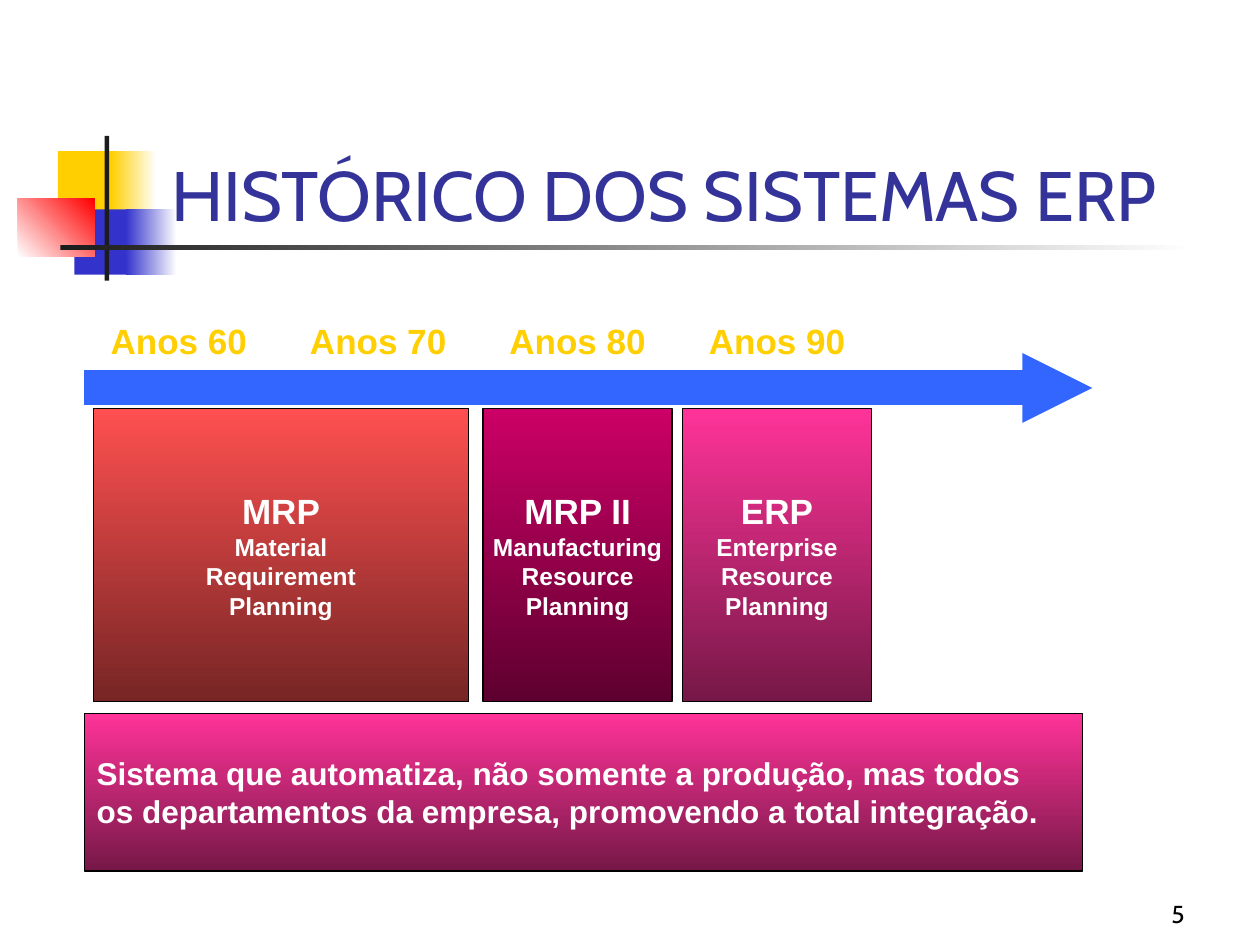
from dataclasses import dataclass
from typing import Optional

from lxml.etree import SubElement
from pptx import Presentation
from pptx.dml.color import RGBColor
from pptx.enum.shapes import MSO_CONNECTOR, MSO_SHAPE
from pptx.enum.text import MSO_ANCHOR, PP_ALIGN
from pptx.oxml.ns import qn
from pptx.util import Cm, Pt

YELLOW = RGBColor(0xFF, 0xCF, 0x01)
BLUE = RGBColor(0x33, 0x33, 0xCC)
RED = RGBColor(0xFF, 0x00, 0x00)
CHARCOAL = RGBColor(0x1C, 0x1C, 0x1C)
NAVY = RGBColor(0x33, 0x33, 0x99)
ARROW_BLUE = RGBColor(0x33, 0x66, 0xFF)
CORAL = RGBColor(0xFF, 0x50, 0x50)
DARK_CORAL = RGBColor(0x76, 0x25, 0x25)
CRIMSON = RGBColor(0xCC, 0x00, 0x66)
DARK_CRIMSON = RGBColor(0x5E, 0x00, 0x2F)
PINK = RGBColor(0xFF, 0x33, 0x99)
DARK_PINK = RGBColor(0x76, 0x18, 0x47)
WHITE = RGBColor(0xFF, 0xFF, 0xFF)
BLACK = RGBColor(0x00, 0x00, 0x00)

LEFT, STEP, COLUMN_WIDTH = 1.7, 4.02, 3.81
BOX_TOP, BOX_HEIGHT = 8.23, 5.92
DOWNWARD = 270


@dataclass
class Block:
    """A rectangle in centimetres, with a plain or gradient fill."""
    left: float
    top: float
    width: float
    height: float
    color: RGBColor
    end_color: Optional[RGBColor] = None
    angle: float = 0


@dataclass
class TextStyle:
    """How the paragraphs of a shape look."""
    sizes: tuple[int, ...]
    color: RGBColor
    font: str = "Arial"
    bold: bool = True
    align: PP_ALIGN = PP_ALIGN.CENTER
    anchor: MSO_ANCHOR = MSO_ANCHOR.MIDDLE
    wrap: bool = False


@dataclass
class System:
    """A generation of planning systems on the timeline."""
    block: Block
    text: str


ORNAMENT = [
    Block(1.17, 3.05, 1.22, 1.32, YELLOW),
    Block(2.24, 3.05, 0.91, 1.32, YELLOW, WHITE),
    Block(1.5, 4.22, 1.17, 1.32, BLUE),
    Block(2.54, 4.22, 1.02, 1.32, BLUE, WHITE),
    Block(0.36, 4.01, 1.55, 1.17, WHITE, RED, 45),
    Block(2.11, 2.74, 0.09, 2.92, CHARCOAL),
    Block(1.22, 4.94, 22.86, 0.1, CHARCOAL, WHITE),
]
DECADES = ["Anos 60", "Anos 70", "Anos 80", "Anos 90"]
SYSTEMS = [
    System(Block(1.88, BOX_TOP, 7.57, BOX_HEIGHT, CORAL, DARK_CORAL, DOWNWARD),
           "MRP\nMaterial\nRequirement\nPlanning"),
    System(Block(LEFT + 2 * STEP, BOX_TOP, COLUMN_WIDTH, BOX_HEIGHT,
                 CRIMSON, DARK_CRIMSON, DOWNWARD),
           "MRP II\nManufacturing\nResource\nPlanning"),
    System(Block(LEFT + 3 * STEP, BOX_TOP, COLUMN_WIDTH, BOX_HEIGHT,
                 PINK, DARK_PINK, DOWNWARD),
           "ERP\nEnterprise\nResource\nPlanning"),
]
SUMMARY = System(
    Block(LEFT, 14.38, 20.12, 3.18, PINK, DARK_PINK, DOWNWARD),
    "Sistema que automatiza, não somente a produção, mas todos\n"
    "os departamentos da empresa, promovendo a total integração.")

TITLE_STYLE = TextStyle((40,), NAVY, "Cabin", False, PP_ALIGN.LEFT, MSO_ANCHOR.BOTTOM, True)
NUMBER_STYLE = TextStyle((14,), BLACK, "Cabin", False, PP_ALIGN.RIGHT, MSO_ANCHOR.BOTTOM, True)
DECADE_STYLE = TextStyle((20,), YELLOW)
SYSTEM_STYLE = TextStyle((20, 14), WHITE)
SUMMARY_STYLE = TextStyle((18,), WHITE, align=PP_ALIGN.LEFT)


def write(s, text: str, style: TextStyle) -> None:
    tf = s.text_frame
    tf.text = text
    tf.word_wrap = style.wrap
    tf.vertical_anchor = style.anchor
    for i, p in enumerate(tf.paragraphs):
        p.alignment = style.align
        for r in p.runs:
            r.font.name = style.font
            r.font.size = Pt(style.sizes[min(i, len(style.sizes) - 1)])
            r.font.bold = style.bold
            r.font.color.rgb = style.color


def add_block(slide, block: Block):
    s = slide.shapes.add_shape(MSO_SHAPE.RECTANGLE, Cm(block.left), Cm(block.top),
                               Cm(block.width), Cm(block.height))
    s.shadow.inherit = False
    s.line.fill.background()
    if block.end_color is None:
        s.fill.solid()
        s.fill.fore_color.rgb = block.color
    else:
        s.fill.gradient()
        s.fill.gradient_angle = block.angle
        for stop, color in zip(s.fill.gradient_stops, (block.color, block.end_color)):
            stop.color.rgb = color
    return s


def add_system(slide, system: System, style: TextStyle) -> None:
    s = add_block(slide, system.block)
    s.line.color.rgb = BLACK
    s.line.width = Pt(0.75)
    write(s, system.text, style)


def add_text(slide, left: float, top: float, width: float, height: float,
             text: str, style: TextStyle) -> None:
    s = slide.shapes.add_textbox(Cm(left), Cm(top), Cm(width), Cm(height))
    write(s, text, style)


def add_timeline(slide, left: float, right: float, y: float) -> None:
    s = slide.shapes.add_connector(MSO_CONNECTOR.STRAIGHT, Cm(left), Cm(y), Cm(right), Cm(y))
    s.line.color.rgb = ARROW_BLUE
    s.line.width = Pt(20)
    SubElement(s.line._get_or_add_ln(), qn("a:tailEnd"), type="triangle", w="sm", len="sm")
    SubElement(s._element.spPr, qn("a:effectLst"))


def main() -> None:
    prs = Presentation()
    prs.slide_width, prs.slide_height = Cm(25.4), Cm(19.05)
    slide = prs.slides.add_slide(prs.slide_layouts[6])
    for block in ORNAMENT:
        add_block(slide, block)
    add_text(slide, 3.2, 1.7, 21.64, 3.18, "HISTÓRICO DOS SISTEMAS ERP", TITLE_STYLE)
    add_timeline(slide, LEFT, 22.02, 7.82)
    for i, decade in enumerate(DECADES):
        add_text(slide, LEFT + i * STEP, 6.12, COLUMN_WIDTH, 1.47, decade, DECADE_STYLE)
    for system in SYSTEMS:
        add_system(slide, system, SYSTEM_STYLE)
    add_system(slide, SUMMARY, SUMMARY_STYLE)
    add_text(slide, 18.85, 17.58, 5.28, 1.27, "5", NUMBER_STYLE)
    prs.save("out.pptx")


if __name__ == "__main__":
    main()
